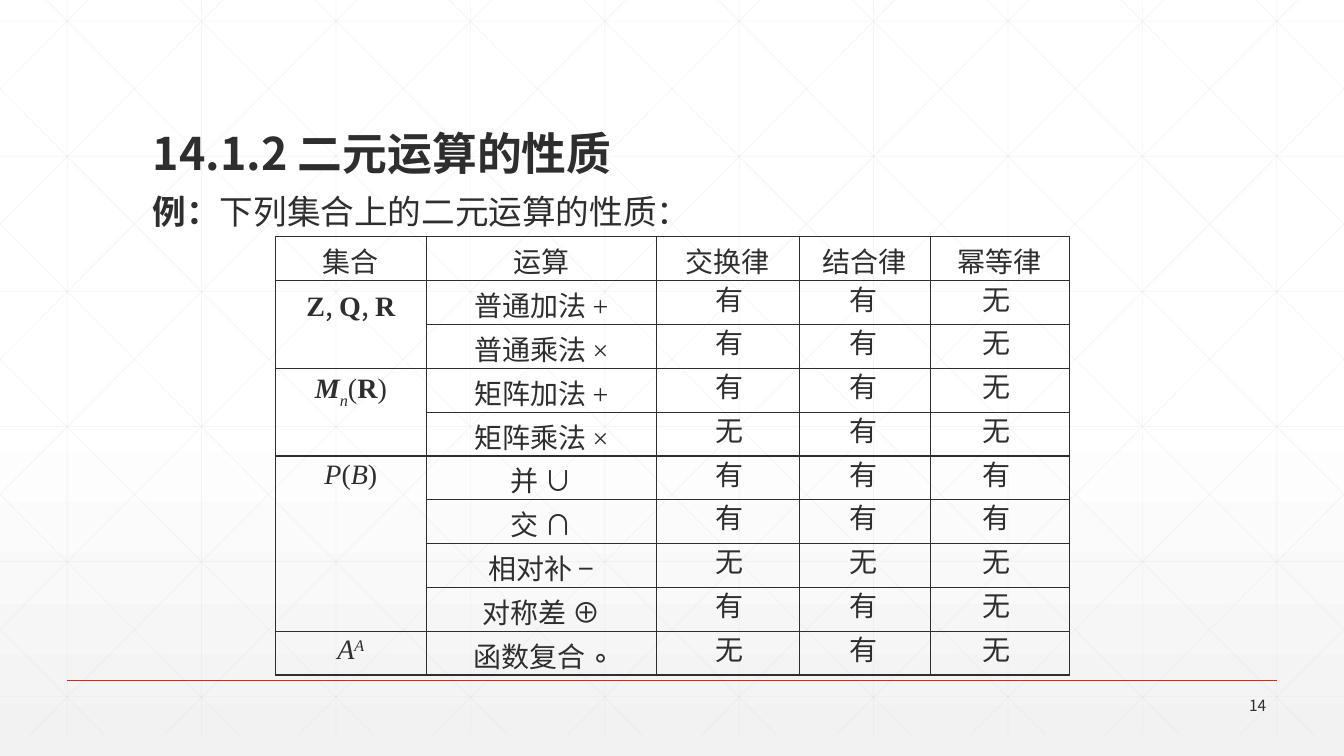
"""Build the slide on the properties of binary operations."""
import copy
from dataclasses import dataclass

import lxml.etree
import pptx
import pptx.dml.color
import pptx.enum.shapes
import pptx.enum.text
import pptx.oxml.ns
import pptx.util

Pt = pptx.util.Pt
RGBColor = pptx.dml.color.RGBColor
Align = pptx.enum.text.PP_ALIGN
Anchor = pptx.enum.text.MSO_ANCHOR
qn = pptx.oxml.ns.qn

INK = RGBColor(0x2D, 0x2E, 0x2D)
RUST = RGBColor(0xA4, 0x3F, 0x27)
GRID = RGBColor(0xD9, 0xD9, 0xD9)
WHITE = RGBColor(0xFF, 0xFF, 0xFF)
PALE = RGBColor(0xF2, 0xF2, 0xF2)
SANS = "Noto Sans CJK SC"
SERIF = "Times New Roman"
WIDE, HIGH = 960, 540
TOP, BASE, STEP = -15, 525, 96
SLOPE = 1.006
ROW = 31.23


@dataclass
class Span:
    text: str
    bold: bool = False
    slant: bool = False
    shift: int = 0
    face: str = SERIF


@dataclass
class Box:
    left: float
    top: float
    width: float
    height: float
    size: float
    spans: list[Span]
    align: Align = Align.LEFT
    anchor: Anchor = Anchor.TOP
    pad_top: float = 3.6
    pad_end: float = 3.6
    lead: float = 1.0
    wrap: bool = True


@dataclass
class Group:
    spans: list[Span]
    names: list[str]
    marks: list[str]


HEADS = ["集合", "运算", "交换律", "结合律", "幂等律"]
GROUPS = [
    Group([Span("Z", bold=True), Span(", ", face=SANS), Span("Q", bold=True),
           Span(", ", face=SANS), Span("R", bold=True)],
          ["普通加法 +", "普通乘法 ×"], ["有有无", "有有无"]),
    Group([Span("M", bold=True, slant=True), Span("n", slant=True, shift=-30),
           Span("("), Span("R", bold=True), Span(")")],
          ["矩阵加法 +", "矩阵乘法 ×"], ["有有无", "无有无"]),
    Group([Span("P", slant=True), Span("("), Span("B", slant=True), Span(")")],
          ["并 ∪", "交 ∩", "相对补 −", "对称差 ⊕"],
          ["有有有", "有有有", "无无无", "有有无"]),
    Group([Span("A", slant=True), Span("A", slant=True, shift=30)],
          ["函数复合 ∘"], ["无有无"]),
]
BOXES = [
    Box(102, 129.6, 756, 36.7, 24,
        [Span("例：", bold=True, face=SANS),
         Span("下列集合上的二元运算的性质：", face=SANS)], lead=1.1),
    Box(839.5, 495.4, 72, 17.3, 11, [Span("14", face=SANS)],
        align=Align.RIGHT, anchor=Anchor.MIDDLE),
    Box(102, 39.6, 756, 90, 32,
        [Span("14.1.2 二元运算的性质", bold=True, face=SANS)],
        anchor=Anchor.BOTTOM, pad_end=1.2, lead=0.9),
]


def write(para, spans: list[Span], size: float) -> None:
    """Add styled runs to a paragraph."""
    for span in spans:
        run = para.add_run()
        run.text = span.text
        font = run.font
        font.size = Pt(size)
        font.bold = span.bold
        font.italic = span.slant
        font.color.rgb = INK
        font.name = span.face
        props = run._r.get_or_add_rPr()
        lxml.etree.SubElement(props, qn("a:ea"), typeface=SANS)
        if span.shift:
            props.set("baseline", str(span.shift * 1000))


def draw_box(slide, box: Box) -> None:
    """Draw one text box."""
    shape = slide.shapes.add_textbox(Pt(box.left), Pt(box.top), Pt(box.width), Pt(box.height))
    frame = shape.text_frame
    frame.word_wrap = box.wrap
    frame.vertical_anchor = box.anchor
    frame.margin_top = Pt(box.pad_top)
    frame.margin_bottom = Pt(box.pad_end)
    para = frame.paragraphs[0]
    para.alignment = box.align
    para.line_spacing = box.lead
    write(para, box.spans, box.size)


def draw_line(slide, x1: float, y1: float, x2: float, y2: float,
              tint: RGBColor = GRID, width: float = 0.5, alpha: int = 25) -> None:
    """Draw one straight line without shadow."""
    kind = pptx.enum.shapes.MSO_CONNECTOR.STRAIGHT
    line = slide.shapes.add_connector(kind, Pt(x1), Pt(y1), Pt(x2), Pt(y2))
    line.line.color.rgb = tint
    line.line.width = Pt(width)
    props = line._element.spPr
    lxml.etree.SubElement(props, qn("a:effectLst"))
    if alpha < 100:
        hue = props.find(".//" + qn("a:srgbClr"))
        lxml.etree.SubElement(hue, qn("a:alpha"), val=str(alpha * 1000))


def draw_grid(slide) -> None:
    """Draw the faint grid and its diagonals, cut at the slide sides."""
    for i in range(10):
        draw_line(slide, 48 + STEP * i, TOP, 48 + STEP * i, BASE)
    for i in range(6):
        level = 15.1 + 96.5 * i
        draw_line(slide, 0, level, WIDE, level)
    for flip in (False, True):
        for i in range(-5, 10):
            head = 18 + STEP * i
            x1 = max(head, 0)
            x2 = min(head + (BASE - TOP) / SLOPE, WIDE)
            y1, y2 = (TOP + (x - head) * SLOPE for x in (x1, x2))
            if flip:
                x1, x2 = WIDE - x1, WIDE - x2
            draw_line(slide, x1, y1, x2, y2)


def fill_back(slide) -> None:
    """Shade the background from white to pale grey."""
    fill = slide.background.fill
    fill.gradient()
    stops = fill.gradient_stops
    stops[0].color.rgb = WHITE
    stops[0].position = 0
    stops[1].color.rgb = PALE
    stops[1].position = 1
    first = stops[0]._gs
    mid = copy.deepcopy(first)
    mid.set("pos", "53000")
    first.addnext(mid)
    fill.gradient_angle = 270


def style_cell(cell) -> None:
    """Give a cell its borders, margins and clear fill."""
    cell.margin_top, cell.margin_bottom = Pt(3.6), Pt(0)
    props = cell._tc.get_or_add_tcPr()
    for side in ("lnL", "lnR", "lnT", "lnB"):
        edge = lxml.etree.SubElement(props, qn("a:" + side), w=str(Pt(1)))
        solid = lxml.etree.SubElement(edge, qn("a:solidFill"))
        lxml.etree.SubElement(solid, qn("a:srgbClr"), val=str(INK))
    cell.fill.background()
    para = cell.text_frame.paragraphs[0]
    para.alignment = Align.CENTER
    para.line_spacing = 0.95


def draw_table(slide) -> None:
    """Draw the table and the marks over its cells."""
    count = 1 + sum(len(group.names) for group in GROUPS)
    frame = slide.shapes.add_table(count, len(HEADS), Pt(196.6), Pt(169.2), Pt(567.4), Pt(313.2))
    table = frame.table
    table.first_row = table.horz_banding = False
    for col, width in zip(table.columns, (108, 164.2, 102.2, 93.6, 99.4)):
        col.width = Pt(width)
    for row in table.rows:
        row.height = Pt(31.32)
    for cell in table.iter_cells():
        style_cell(cell)
    for i, head in enumerate(HEADS):
        write(table.cell(0, i).text_frame.paragraphs[0], [Span(head)], 20)
    row = 1
    for group in GROUPS:
        first = table.cell(row, 0)
        write(first.text_frame.paragraphs[0], group.spans, 20)
        if len(group.names) > 1:
            first.merge(table.cell(row + len(group.names) - 1, 0))
        for name, marks in zip(group.names, group.marks):
            write(table.cell(row, 1).text_frame.paragraphs[0], [Span(name)], 20)
            for i, mark in enumerate(marks):
                draw_box(slide, Box(504 + 95.4 * i, 201.6 + ROW * (row - 1), 34.6, 31.7, 20,
                                    [Span(mark, face=SANS)], pad_top=0, pad_end=0, wrap=False))
            row += 1


def main() -> None:
    """Build and save the deck."""
    deck = pptx.Presentation()
    deck.slide_width, deck.slide_height = Pt(WIDE), Pt(HIGH)
    slide = deck.slides.add_slide(deck.slide_layouts[6])
    fill_back(slide)
    draw_grid(slide)
    draw_line(slide, 48, 486, 912, 486, RUST, 1, 100)
    draw_table(slide)
    for box in BOXES:
        draw_box(slide, box)
    deck.save("out.pptx")


if __name__ == "__main__":
    main()
